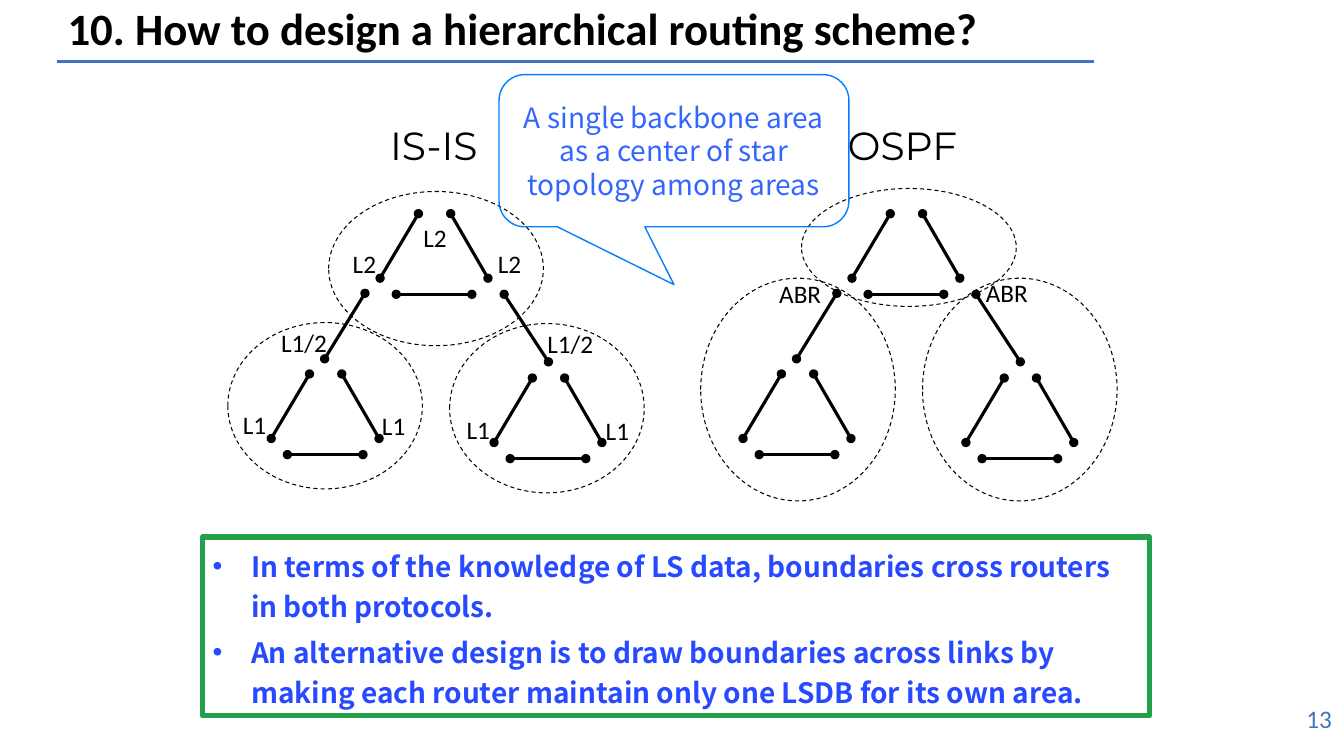
"""Build a slide comparing hierarchical routing in IS-IS and OSPF."""
from dataclasses import dataclass

from lxml import etree
from pptx import Presentation
from pptx.dml.color import RGBColor
from pptx.enum.dml import MSO_LINE
from pptx.enum.shapes import MSO_CONNECTOR, MSO_SHAPE
from pptx.enum.text import MSO_ANCHOR, MSO_AUTO_SIZE, PP_ALIGN
from pptx.oxml.ns import qn
from pptx.util import Inches, Length, Pt

STRAIGHT = MSO_CONNECTOR.STRAIGHT
ELLIPSE = MSO_SHAPE.OVAL
CALLOUT = MSO_SHAPE.ROUNDED_RECTANGULAR_CALLOUT
DASH = MSO_LINE.DASH
TOP, MIDDLE = MSO_ANCHOR.TOP, MSO_ANCHOR.MIDDLE
FIXED, GROW = MSO_AUTO_SIZE.NONE, MSO_AUTO_SIZE.SHAPE_TO_FIT_TEXT
LEFT, CENTER, RIGHT = PP_ALIGN.LEFT, PP_ALIGN.CENTER, PP_ALIGN.RIGHT

COLUMNS, ROWS = 133.3, 75
SLIDE_WIDTH, SLIDE_HEIGHT = Inches(13.33), Inches(7.5)
BLACK, BLUE = "000000", "4472C4"
BODY_FONT = "Noto Sans CJK SC"


@dataclass(frozen=True)
class Box:
    """A rectangle in grid columns and rows."""
    column: float
    row: float
    width: float
    height: float

    def place(self) -> tuple[Length, ...]:
        """Return left, top, width and height as lengths."""
        return (across(self.column), down(self.row),
                across(self.width), down(self.height))


@dataclass(frozen=True)
class Link:
    """A line between two grid points."""
    start: tuple[float, float]
    end: tuple[float, float]


@dataclass(frozen=True)
class Style:
    """The look of a text."""
    size: float
    font: str = "Calibri"
    color: str = BLACK
    bold: bool = False
    align: PP_ALIGN = LEFT


@dataclass(frozen=True)
class Label:
    """A text in a box."""
    text: str
    box: Box


@dataclass(frozen=True)
class Network:
    """A protocol drawn as three areas of routers."""
    shift: float
    heading: Label
    areas: tuple[Box, ...]
    labels: tuple[Label, ...]


TRIANGLE = (
    Link((1.6, 8), (9.1, 8)),
    Link((0, 6.4), (3.8, 0)),
    Link((10.7, 6.4), (7, 0)),
)
TRIANGLE_ORIGINS = ((37.7, 21.2), (26.9, 37.1), (49, 37.5))
SPOKES = (Link((32.2, 35.6), (36.2, 29.1)), Link((54.4, 35.9), (50, 29.2)))

NETWORKS = (
    Network(
        0, Label("IS-IS", Box(37.7, 11.5, 12.1, 5.7)),
        (Box(22.6, 32, 19.3, 16.5), Box(32.6, 19, 21.3, 15.3),
         Box(44.6, 32.1, 19.3, 16.8)),
        (Label("L2", Box(41, 21.6, 4.4, 4)),
         Label("L2", Box(34, 24.1, 4.4, 4)),
         Label("L2", Box(48.4, 24.1, 4.4, 4)),
         Label("L1/2", Box(26.9, 32, 6.6, 4)),
         Label("L1/2", Box(53.3, 32.1, 6.6, 4)),
         Label("L1", Box(23.1, 40.1, 4.4, 4)),
         Label("L1", Box(36.9, 40.2, 4.4, 4)),
         Label("L1", Box(45.3, 40.6, 4.4, 4)),
         Label("L1", Box(59.1, 40.7, 4.4, 4)))),
    Network(
        46.8, Label("OSPF", Box(83.1, 11.5, 13.6, 5.7)),
        (Box(69.5, 27.6, 19.3, 22.1), Box(79.5, 18.7, 21.3, 11.7),
         Box(91.5, 27.6, 19.3, 22.1)),
        (Label("ABR", Box(76.3, 27.1, 6.2, 4)),
         Label("ABR", Box(96.8, 27, 6.2, 4)))),
)

CONCLUSIONS = (
    "In terms of the knowledge of LS data, boundaries cross routers in both protocols.",
    "An alternative design is to draw boundaries across links by making each router "
    "maintain only one LSDB for its own area.",
)


def across(columns: float) -> Length:
    """Convert grid columns to a length."""
    return Length(round(SLIDE_WIDTH * columns / COLUMNS))


def down(rows: float) -> Length:
    """Convert grid rows to a length."""
    return Length(round(SLIDE_HEIGHT * rows / ROWS))


def rgb(color: str) -> RGBColor:
    """Turn a hex string into a colour."""
    return RGBColor.from_string(color)


def outline(shape, color: str, width: float) -> None:
    """Give a shape or connector a solid line."""
    shape.line.color.rgb = rgb(color)
    shape.line.width = Pt(width)


def format_text(text_frame, style: Style, anchor: MSO_ANCHOR = TOP) -> None:
    """Apply a style to all text of a frame."""
    text_frame.vertical_anchor = anchor
    for paragraph in text_frame.paragraphs:
        paragraph.alignment = style.align
        for run in paragraph.runs:
            run.font.size = Pt(style.size)
            run.font.name = style.font
            run.font.bold = style.bold
            run.font.color.rgb = rgb(style.color)


def add_line(slide, link: Link, color: str, width: float, dots: bool = False) -> None:
    """Draw a line, with a dot at each end if asked."""
    connector = slide.shapes.add_connector(
        STRAIGHT, across(link.start[0]), down(link.start[1]),
        across(link.end[0]), down(link.end[1]))
    outline(connector, color, width)
    properties = connector.element.spPr
    if dots:
        for end in ("a:headEnd", "a:tailEnd"):
            etree.SubElement(properties.get_or_add_ln(), qn(end), type="oval")
    etree.SubElement(properties, qn("a:effectLst"))


def add_hollow(slide, kind: MSO_SHAPE, box: Box, color: str, width: float):
    """Add an outlined shape without fill."""
    shape = slide.shapes.add_shape(kind, *box.place())
    shape.shadow.inherit = False
    shape.fill.background()
    outline(shape, color, width)
    return shape


def add_label(slide, label: Label, style: Style) -> None:
    """Add a one-line text box."""
    text_frame = slide.shapes.add_textbox(*label.box.place()).text_frame
    text_frame.word_wrap = False
    text_frame.auto_size = GROW
    text_frame.text = label.text
    format_text(text_frame, style)


def fill_placeholder(placeholder, text: str, box: Box):
    """Move a placeholder, set its text and return its frame."""
    placeholder.left, placeholder.top, placeholder.width, placeholder.height = box.place()
    text_frame = placeholder.text_frame
    text_frame.text = text
    text_frame.word_wrap = True
    text_frame.auto_size = FIXED
    return text_frame


def add_network(slide, network: Network) -> None:
    """Draw the links, areas and labels of one protocol."""
    links = [Link((column + link.start[0], row + link.start[1]),
                  (column + link.end[0], row + link.end[1]))
             for column, row in TRIANGLE_ORIGINS for link in TRIANGLE]
    for link in (*links, *SPOKES):
        shifted = Link((link.start[0] + network.shift, link.start[1]),
                       (link.end[0] + network.shift, link.end[1]))
        add_line(slide, shifted, BLACK, 2.25, dots=True)
    for area in network.areas:
        add_hollow(slide, ELLIPSE, area, BLACK, 0.75).line.dash_style = DASH
    for label in network.labels:
        add_label(slide, label, Style(18))
    add_label(slide, network.heading, Style(28, "Montserrat"))


def add_conclusions(placeholder) -> None:
    """Fill the framed bullet list."""
    text_frame = fill_placeholder(placeholder, "\n".join(CONCLUSIONS),
                                  Box(20.1, 53.3, 93.9, 17.7))
    outline(placeholder, "249F4C", 4)
    for index, paragraph in enumerate(text_frame.paragraphs):
        paragraph.line_spacing = 1.2
        paragraph.space_before = Pt(4 if index else 0)
        properties = paragraph._p.get_or_add_pPr()
        properties.set("marL", str(across(3.8)))
        properties.set("indent", str(-across(3.8)))
        etree.SubElement(properties, qn("a:buChar"), char="•")
    format_text(text_frame, Style(20, BODY_FONT, "2749FF", bold=True))


def main() -> None:
    """Build and save the slide."""
    presentation = Presentation()
    presentation.slide_width, presentation.slide_height = SLIDE_WIDTH, SLIDE_HEIGHT
    slide = presentation.slides.add_slide(presentation.slide_layouts[1])
    title = fill_placeholder(slide.shapes.title,
                             "10. How to design a hierarchical routing scheme?",
                             Box(5.7, 0, 120.7, 6.1))
    title.paragraphs[0].line_spacing = 0.9
    format_text(title, Style(32, bold=True), MIDDLE)
    add_line(slide, Link((5.7, 6.1), (108.5, 6.1)), BLUE, 2.5)
    add_label(slide, Label("13", Box(121.5, 69.3, 11.6, 5.5)),
              Style(18, color=BLUE, align=RIGHT))
    for network in NETWORKS:
        add_network(slide, network)
    callout = add_hollow(slide, CALLOUT, Box(49.5, 7.4, 34.7, 15.1), "0080FF", 1)
    for index, value in enumerate((0, 0.88, 0.17)):
        callout.adjustments[index] = value
    callout.text_frame.text = "A single backbone area as a center of star topology among areas"
    callout.text_frame.word_wrap = True
    format_text(callout.text_frame, Style(20, BODY_FONT, "3366FF", align=CENTER), MIDDLE)
    add_conclusions(slide.placeholders[1])
    presentation.save("out.pptx")


if __name__ == "__main__":
    main()
